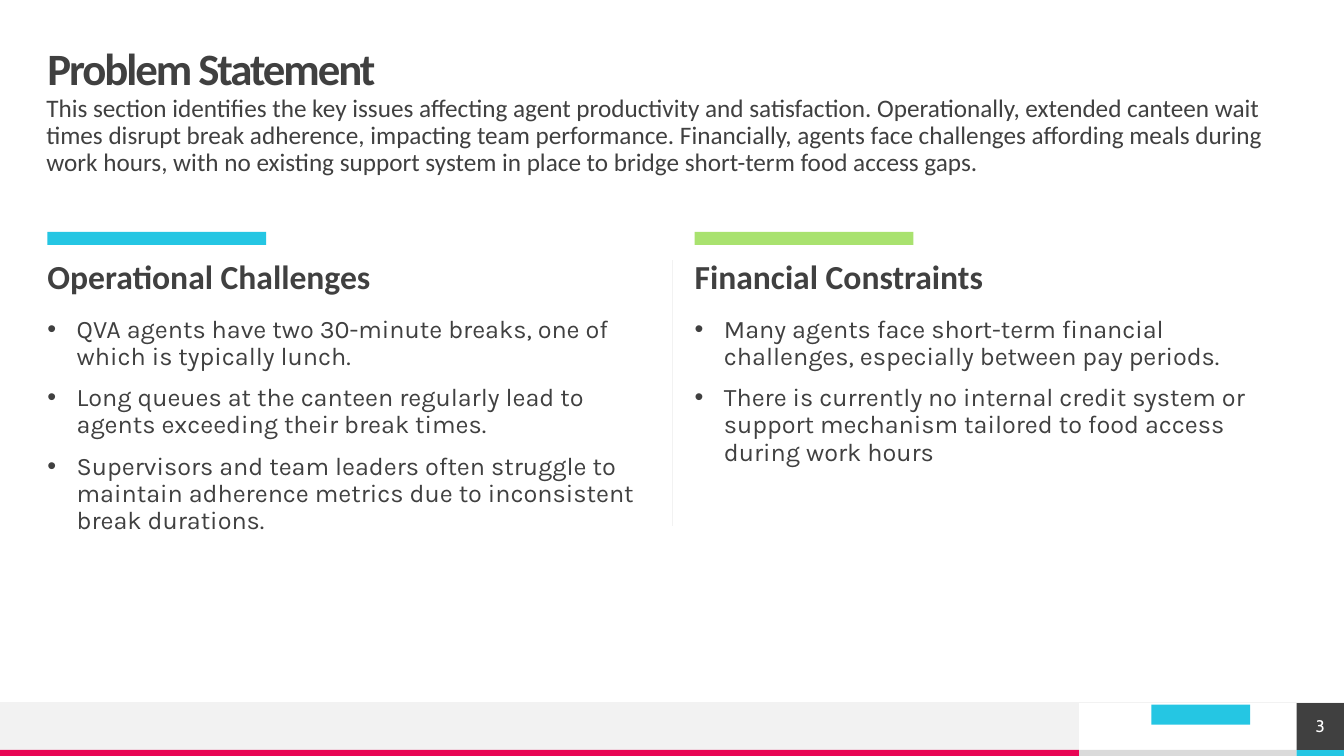
"""Build the Problem Statement slide with two columns of challenges."""
from lxml import etree
from pptx import Presentation
from pptx.dml.color import RGBColor
from pptx.enum.shapes import MSO_CONNECTOR, MSO_SHAPE
from pptx.enum.text import MSO_ANCHOR, MSO_AUTO_SIZE, PP_ALIGN
from pptx.oxml.ns import qn
from pptx.util import Inches, Pt

RECT = MSO_SHAPE.RECTANGLE
LINE = MSO_CONNECTOR.STRAIGHT
TOP, MIDDLE = MSO_ANCHOR.TOP, MSO_ANCHOR.MIDDLE
LEFT, CENTER = PP_ALIGN.LEFT, PP_ALIGN.CENTER
COLORS = {"dark": "404040", "pale": "F2F2F2", "gray": "DADADA", "pink": "E80554",
          "blue": "25C6E3", "green": "A9E26F", "white": "FFFFFF"}


def color(name):
    return RGBColor.from_string(COLORS[name])


def write(shape, *lines, box=None, size=18, font="Calibri", ink="dark", bold=False,
          align=LEFT, anchor=TOP, pitch=0.9, before=10, track=0, bullet=False):
    if box:
        shape.left, shape.top, shape.width, shape.height = map(Inches, box)
    frame = shape.text_frame
    frame.word_wrap = True
    frame.auto_size = MSO_AUTO_SIZE.NONE
    frame.vertical_anchor = anchor
    frame.margin_left = frame.margin_top = frame.margin_right = frame.margin_bottom = 0
    frame.text = "\n".join(lines)
    for para in frame.paragraphs:
        para.alignment = align
        para.line_spacing = pitch
        para.space_before = Pt(before)
        if bullet:
            props = para._p.get_or_add_pPr()
            props.set("marL", str(Inches(0.29)))
            props.set("indent", str(-Inches(0.29)))
            etree.SubElement(props, qn("a:buFont")).set("typeface", "Arial")
            etree.SubElement(props, qn("a:buChar")).set("char", "•")
        for run in para.runs:
            run.font.name = font
            run.font.size = Pt(size)
            run.font.bold = bold
            run.font.color.rgb = color(ink)
            if track:
                run._r.get_or_add_rPr().set("spc", str(int(track * 100)))


deck = Presentation()
deck.slide_width, deck.slide_height = Inches(13.33), Inches(7.5)
slide = deck.slides.add_slide(deck.slide_layouts[4])
shapes, holders = slide.shapes, slide.placeholders

bars = [
    (10.7, 7.44, 2.16, 0.06, "gray"),
    (0, 6.97, 10.7, 0.47, "pale"),
    (0, 7.44, 10.7, 0.06, "pink"),
    (12.86, 7.44, 0.47, 0.06, "blue"),
    (0.47, 2.3, 2.17, 0.13, "blue"),
    (6.89, 2.3, 2.17, 0.13, "green"),
    (11.42, 6.99, 0.98, 0.2, "blue"),
    (12.86, 6.97, 0.47, 0.47, "dark"),
]
for *box, fill in bars:
    bar = shapes.add_shape(RECT, *map(Inches, box))
    bar.shadow.inherit = False
    bar.fill.solid()
    bar.fill.fore_color.rgb = color(fill)
    bar.line.fill.background()
write(bar, "3", size=12, font="Cabin", ink="white", align=CENTER, anchor=MIDDLE,
      pitch=1, before=0)

for ends in [(13.33, 6.97, 0, 6.97), (6.67, 2.58, 6.67, 5.22)]:
    rule = shapes.add_connector(LINE, *map(Inches, ends))
    rule.line.color.rgb = color("pale")
    rule.line.width = Pt(0.5)
    etree.SubElement(rule._element.spPr, qn("a:effectLst"))

write(shapes.title, "Problem Statement", box=(0.47, 0.47, 12.4, 0.47), size=32,
      bold=True, anchor=MIDDLE, before=0, track=-1.5)
intro = shapes.add_textbox(0, 0, 0, 0)
write(intro, "This section identifies the key issues affecting agent productivity and "
      "satisfaction. Operationally, extended canteen wait times disrupt break adherence, "
      "impacting team performance. Financially, agents face challenges affording meals "
      "during work hours, with no existing support system in place to bridge short-term "
      "food access gaps.", box=(0.46, 0.95, 12.4, 0.39))

columns = [
    (0.47, 1, "Operational Challenges", [
        "QVA agents have two 30-minute breaks, one of which is typically lunch.",
        "Long queues at the canteen regularly lead to agents exceeding their break times.",
        "Supervisors and team leaders often struggle to maintain adherence metrics due to "
        "inconsistent break durations."]),
    (6.89, 3, "Financial Constraints", [
        "Many agents face short-term financial challenges, especially between pay periods.",
        "There is currently no internal credit system or support mechanism tailored to "
        "food access during work hours"]),
]
for left, slot, head, points in columns:
    write(holders[slot], head, box=(left, 2.58, 5.98, 0.39), size=24, bold=True)
    write(holders[slot + 1], *points, box=(left, 3.14, 5.98, 3.69), font="Karla",
          bullet=True)

deck.save("out.pptx")
